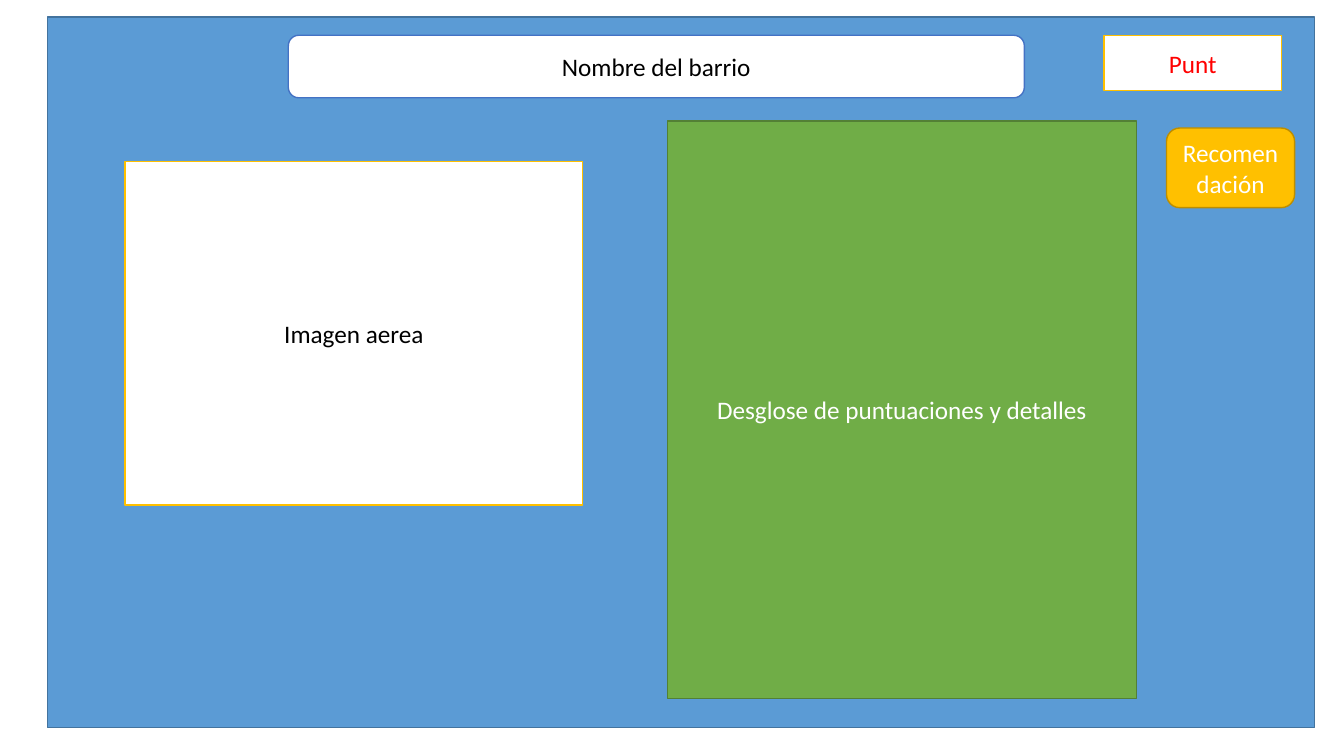
"""Build the wireframe slide for a neighbourhood's detail screen."""
from pptx import Presentation
from pptx.dml.color import RGBColor
from pptx.enum.shapes import MSO_SHAPE
from pptx.enum.text import MSO_ANCHOR, PP_ALIGN
from pptx.util import Inches, Pt

WHITE = RGBColor(0xFF, 0xFF, 0xFF)
BLACK = RGBColor(0x00, 0x00, 0x00)
RED = RGBColor(0xFF, 0x00, 0x00)
BLUE = RGBColor(0x5B, 0x9B, 0xD5)
DARK_BLUE = RGBColor(0x43, 0x73, 0x9E)
ROYAL_BLUE = RGBColor(0x44, 0x72, 0xC4)
GOLD = RGBColor(0xFF, 0xC0, 0x00)
DARK_GOLD = RGBColor(0xBD, 0x8E, 0x00)
GREEN = RGBColor(0x70, 0xAD, 0x47)
DARK_GREEN = RGBColor(0x53, 0x80, 0x35)

RECTANGLE = MSO_SHAPE.RECTANGLE
ROUNDED = MSO_SHAPE.ROUNDED_RECTANGLE

panels = [
    ("", RECTANGLE, (0.47, 0.17, 12.57, 7.05), BLUE, DARK_BLUE, WHITE),
    ("Nombre del barrio", ROUNDED, (2.86, 0.35, 7.3, 0.62), WHITE, ROYAL_BLUE, BLACK),
    ("Punt", RECTANGLE, (10.95, 0.35, 1.76, 0.55), WHITE, GOLD, RED),
    ("Desglose de puntuaciones y detalles", RECTANGLE,
     (6.62, 1.2, 4.65, 5.73), GREEN, DARK_GREEN, WHITE),
    ("Recomendación", ROUNDED, (11.57, 1.27, 1.27, 0.79), GOLD, DARK_GOLD, WHITE),
    ("Imagen aerea", RECTANGLE, (1.24, 1.6, 4.54, 3.41), WHITE, GOLD, BLACK),
]

presentation = Presentation()
presentation.slide_width = Inches(13.33)
presentation.slide_height = Inches(7.5)
slide = presentation.slides.add_slide(presentation.slide_layouts[6])

for text, outline, box, fill_color, line_color, text_color in panels:
    shape = slide.shapes.add_shape(outline, *[Inches(length) for length in box])
    shape.shadow.inherit = False
    shape.fill.solid()
    shape.fill.fore_color.rgb = fill_color
    shape.line.color.rgb = line_color
    shape.line.width = Pt(1)
    if text:
        shape.text_frame.text = text
        shape.text_frame.word_wrap = True
        shape.text_frame.vertical_anchor = MSO_ANCHOR.MIDDLE
        paragraph = shape.text_frame.paragraphs[0]
        paragraph.alignment = PP_ALIGN.CENTER
        font = paragraph.runs[0].font
        font.name = "Calibri"
        font.size = Pt(18)
        font.color.rgb = text_color

presentation.save("out.pptx")
